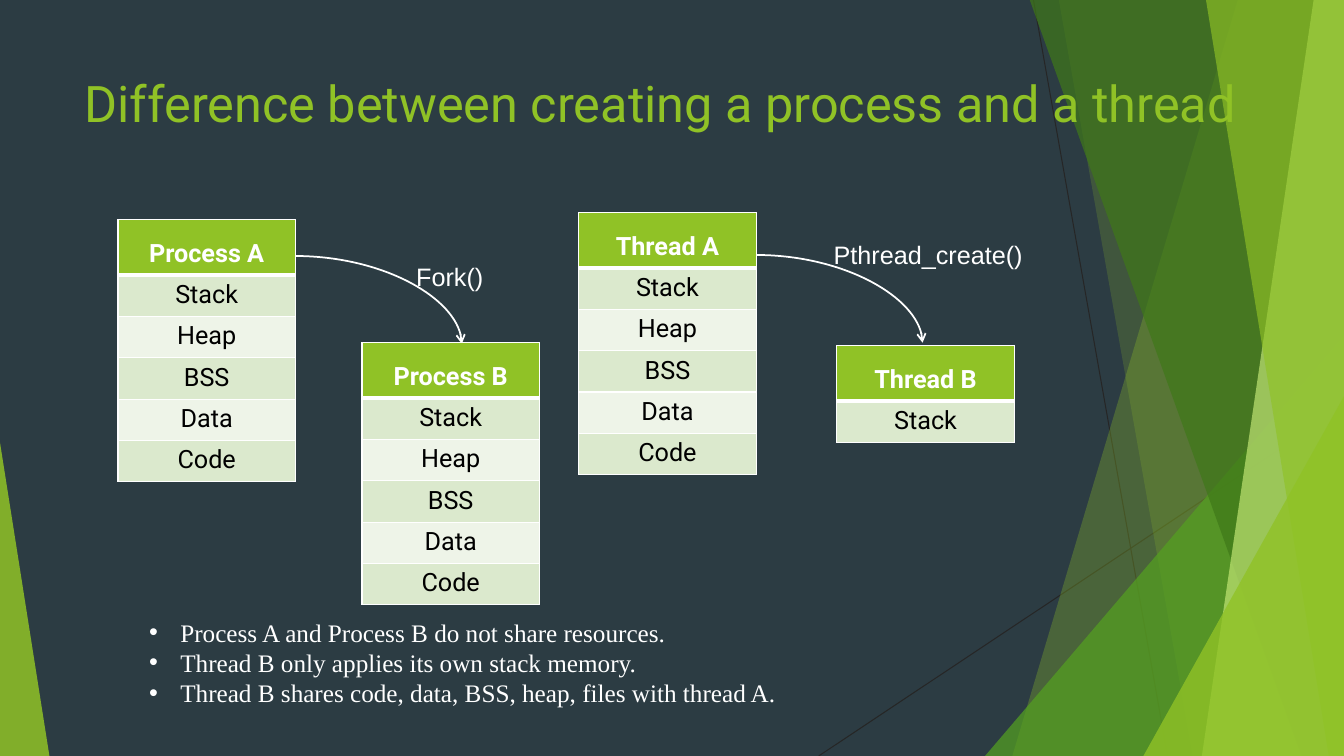
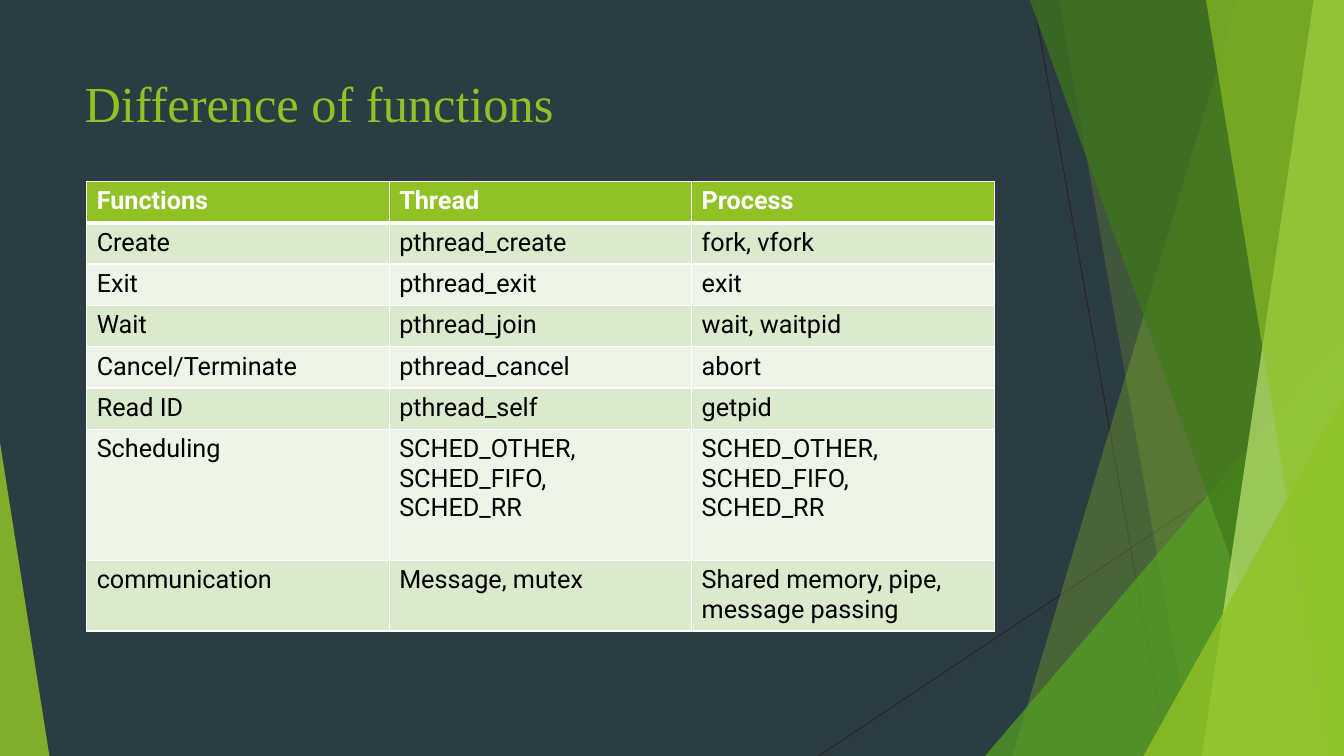
import pptx
import pptx.util
from pptx.dml.color import RGBColor
from pptx.enum.shapes import MSO_CONNECTOR, MSO_SHAPE
from pptx.enum.text import MSO_AUTO_SIZE, PP_ALIGN
from pptx.oxml import parse_xml
from pptx.oxml.ns import nsdecls, qn
from pptx.util import Inches, Pt

# Colours
DARK = RGBColor(0x2C, 0x3C, 0x43)
LIME = RGBColor(0x90, 0xC2, 0x26)
GREEN = RGBColor(0x54, 0xA0, 0x21)
MOSS = RGBColor(0x3F, 0x78, 0x19)
PALE = RGBColor(0xC0, 0xE4, 0x74)
GRAY = RGBColor(0x26, 0x26, 0x26)
WHITE = RGBColor(0xFF, 0xFF, 0xFF)
BLACK = RGBColor(0x00, 0x00, 0x00)
ODD = RGBColor(0xDB, 0xE9, 0xCD)
EVEN = RGBColor(0xEE, 0xF4, 0xE8)

# Text formats
TITLE = {"size": Pt(36)}
HEAD = {"name": "Roboto", "size": Pt(18), "bold": True}
BODY = {"name": "Roboto", "size": Pt(18), "bold": False}
LABEL = {"name": "Arial", "size": Pt(18)}
NOTE = {"name": "Times New Roman", "size": Pt(18)}


def write(frame, text, look, ink, **para):
    """Fill a text frame, one paragraph a line."""
    frame.text = text
    for line in frame.paragraphs:
        for key, value in para.items():
            setattr(line, key, value)
        for run in line.runs:
            for key, value in look.items():
                setattr(run.font, key, value)
            run.font.color.rgb = ink


def grid(slide, left, top, widths, heights, data, **para):
    """Add a table with a lime head, banded rows and white rules."""
    box = [Inches(n) for n in (left, top, sum(widths), sum(heights))]
    table = slide.shapes.add_table(len(heights), len(widths), *box).table
    for col, width in zip(table.columns, widths):
        col.width = Inches(width)
    for i, (row, height, texts) in enumerate(zip(table.rows, heights, data)):
        row.height = Inches(height)
        for cell, text in zip(row.cells, texts):
            if i == 0:
                write(cell.text_frame, text, HEAD, WHITE, **para)
            else:
                para.pop("line_spacing", None)
                write(cell.text_frame, text, BODY, BLACK, **para)
            cell.fill.solid()
            cell.fill.fore_color.rgb = LIME if i == 0 else ODD if i % 2 else EVEN
            # The rule under the head is thicker
            sides = {"L": 1, "R": 1, "T": 3 if i == 1 else 1, "B": 3 if i == 0 else 1}
            for k, (side, width) in enumerate(sides.items()):
                cell._tc.get_or_add_tcPr().insert(k, parse_xml(
                    f'<a:ln{side} {nsdecls("a")} w="{Pt(width)}"><a:solidFill>'
                    f'<a:srgbClr val="{WHITE}"/></a:solidFill></a:ln{side}>'))


deck = pptx.Presentation()
deck.slide_width, deck.slide_height = Inches(13.33), Inches(7.5)
blank = deck.slide_layouts[6]
blank.background.fill.solid()
blank.background.fill.fore_color.rgb = DARK

# Slides with titles
titles = [
    ("Difference between creating a process and a thread", "Roboto", 12.41),
    ("Difference of functions", "Times New Roman", 10.76),
]
slides = []
for text, font, width in titles:
    slide = deck.slides.add_slide(blank)
    box = slide.shapes.add_textbox(Inches(0.74), Inches(0.67), Inches(width), Inches(1.44))
    box.text_frame.word_wrap = True
    write(box.text_frame, text, {**TITLE, "name": font}, LIME)
    slides.append(slide)
first, second = slides

# Shared backdrop: drawn once, then moved to the layout
decor = []
for ends in [(10.25, 0, 11.58, 7.5), (13.33, 4.03, 8.12, 7.5)]:
    line = first.shapes.add_connector(MSO_CONNECTOR.STRAIGHT, *[Inches(n) for n in ends])
    line.line.color.rgb = GRAY
    line.line.width = Pt(0.75)
    line.element.spPr.append(parse_xml(f'<a:effectLst {nsdecls("a")}/>'))
    decor.append(line)

# Bands give the left edge at top and bottom; triangles give box and apex
panes = [
    ((12.28, 10.04), LIME, 30),
    ((10.5, 11.83), LIME, 20),
    ((9.77, 3.33, 3.56, 4.17, 1), GREEN, 72),
    ((10.21, 12.91), MOSS, 70),
    ((13.03, 11.92), PALE, 70),
    ((11.96, 13.18), LIME, 65),
    ((11.34, 3.93, 1.99, 3.57, 1), LIME, 80),
    ((0, 4.39, 0.49, 3.11, 0), LIME, 85),
]
for span, color, alpha in panes:
    if len(span) == 2:
        high, low = span
        path = [(high, -0.01), (13.33, -0.01), (13.33, 7.5), (low, 7.5)]
        path = [(Inches(x), Inches(y)) for x, y in path]
        form = first.shapes.build_freeform(*path[0])
        form.add_line_segments(path[1:], close=True)
        pane = form.convert_to_shape()
    else:
        *box, apex = span
        pane = first.shapes.add_shape(
            MSO_SHAPE.ISOSCELES_TRIANGLE, *[Inches(n) for n in box])
        pane.adjustments[0] = apex
    pane.shadow.inherit = False
    pane.line.fill.background()
    pane.fill.solid()
    pane.fill.fore_color.rgb = color
    tint = pane.element.spPr.find(qn("a:solidFill"))[0]
    tint.append(parse_xml(f'<a:alpha {nsdecls("a")} val="{alpha * 1000}"/>'))
    decor.append(pane)
for part in decor:
    blank.shapes.element.append(part.element)

# Slide 1: curved arrows with labels
calls = [
    ((2.93, 2.54), "Fork()", (4.03, 2.54, 0.88, 0.4)),
    ((7.5, 2.53), "Pthread_create()", (8.17, 2.33, 2.1, 0.4)),
]
for (x, y), text, box in calls:
    ends = (x, y, x + 1.65, y + 0.87)
    curve = first.shapes.add_connector(MSO_CONNECTOR.CURVE, *[Inches(n) for n in ends])
    curve.line.color.rgb = WHITE
    curve.line.width = Pt(1.25)
    props = curve.element.spPr
    props.find(qn("a:prstGeom")).set("prst", "curvedConnector2")
    props.find(qn("a:ln")).append(parse_xml(f'<a:tailEnd {nsdecls("a")} type="arrow"/>'))
    props.append(parse_xml(f'<a:effectLst {nsdecls("a")}/>'))
    label = first.shapes.add_textbox(*[Inches(n) for n in box])
    label.text_frame.word_wrap = False
    label.text_frame.auto_size = MSO_AUTO_SIZE.SHAPE_TO_FIT_TEXT
    write(label.text_frame, text, LABEL, WHITE)

# Slide 1: bullets
notes = first.shapes.add_textbox(Inches(1.38), Inches(6.07), Inches(6.49), Inches(1.01))
notes.text_frame.word_wrap = True
write(notes.text_frame, "\n".join([
    "Process A and Process B do not share resources.",
    "Thread B only applies its own stack memory.",
    "Thread B shares code, data, BSS, heap, files with thread A.",
]), NOTE, WHITE)
for line in notes.text_frame.paragraphs:
    props = line._p.get_or_add_pPr()
    props.set("marL", str(Inches(0.31)))
    props.set("indent", str(-Inches(0.31)))
    props.append(parse_xml(f'<a:buFont {nsdecls("a")} typeface="Arial"/>'))
    props.append(parse_xml(f'<a:buChar {nsdecls("a")} char="•"/>'))

# Slide 1: memory tables
memory = ["Stack", "Heap", "BSS", "Data", "Code"]
stacks = [
    ("Process A", 1.17, 2.18, memory),
    ("Process B", 3.59, 3.4, memory),
    ("Thread A", 5.74, 2.11, memory),
    ("Thread B", 8.3, 3.43, memory[:1]),
]
for name, left, top, parts in stacks:
    grid(first, left, top, [1.76], [0.55] + [0.41] * len(parts),
         [[text] for text in [name] + parts],
         alignment=PP_ALIGN.CENTER, line_spacing=1.5)

# Slide 2: function table
sched = "SCHED_OTHER, SCHED_FIFO,\nSCHED_RR"
grid(second, 0.86, 1.8, [3] * 3, [0.41] * 6 + [1.3, 0.7], [
    ("Functions", "Thread", "Process"),
    ("Create", "pthread_create", "fork, vfork"),
    ("Exit", "pthread_exit", "exit"),
    ("Wait", "pthread_join", "wait, waitpid"),
    ("Cancel/Terminate", "pthread_cancel", "abort"),
    ("Read ID", "pthread_self", "getpid"),
    ("Scheduling", sched, sched),
    ("communication", "Message, mutex", "Shared memory, pipe, message passing"),
])

deck.save("out.pptx")
